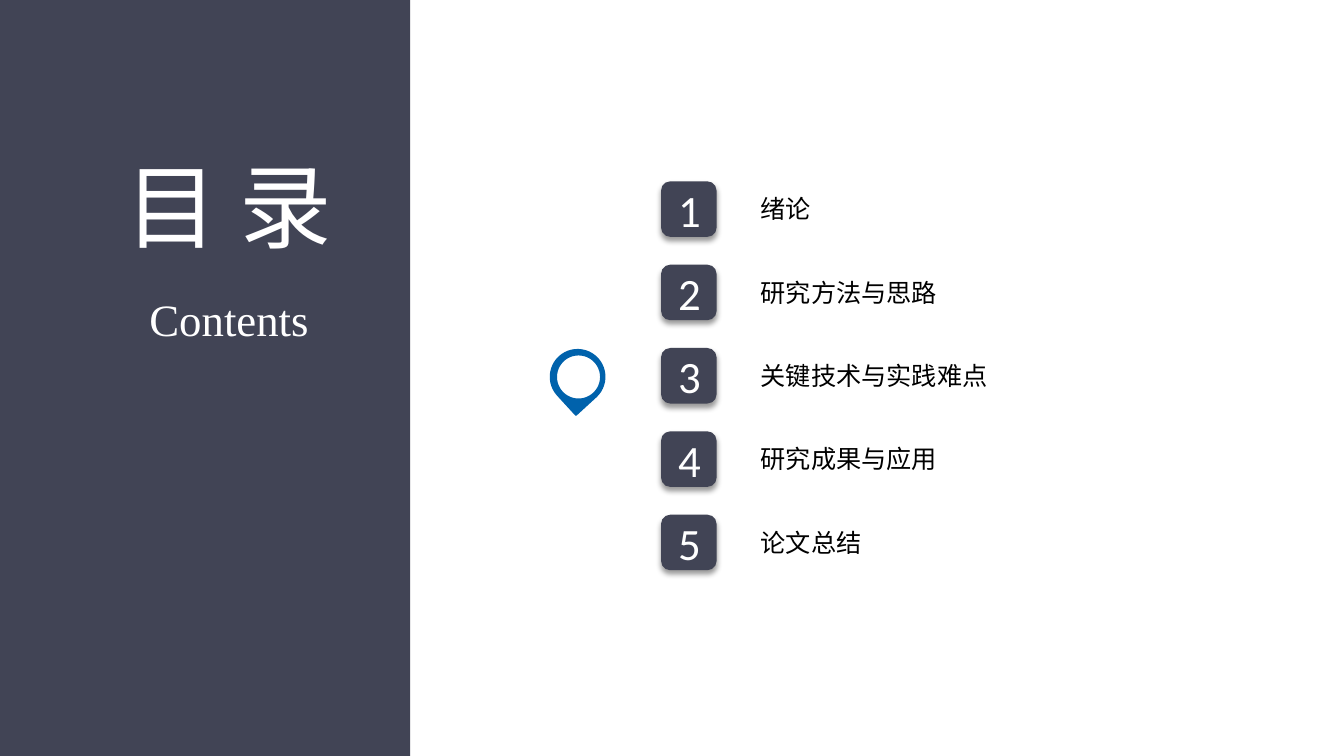
from lxml.etree import SubElement
from pptx import Presentation
from pptx.dml.color import RGBColor
from pptx.enum.shapes import MSO_SHAPE
from pptx.enum.text import MSO_ANCHOR, PP_ALIGN
from pptx.oxml.ns import qn
from pptx.util import Cm, Pt

NAVY, BLUE, WHITE, BLACK = "414455", "0062AC", "FFFFFF", "000000"
CHINESE_FONT = "Noto Sans CJK SC"
CHAPTERS = ["绪论", "研究方法与思路", "关键技术与实践难点", "研究成果与应用", "论文总结"]
FIRST_TOP, ROW_PITCH = 4.57, 2.1


def color(hex_code):
    return RGBColor.from_string(hex_code)


def add_block(slide, preset, left, top, width, height, fill, line=None):
    shape = slide.shapes.add_shape(preset, Cm(left), Cm(top), Cm(width), Cm(height))
    shape.shadow.inherit = False
    shape.fill.solid()
    shape.fill.fore_color.rgb = color(fill)
    if line:
        shape.line.color.rgb = color(line)
        shape.line.width = Pt(1)
    else:
        shape.line.fill.background()
    return shape


def add_soft_shadow(shape):
    effects = shape._element.spPr.find(qn("a:effectLst"))
    shadow = SubElement(effects, qn("a:outerShdw"), blurRad=str(Pt(4)), dist=str(Pt(3)),
                        dir="5400000", algn="t", rotWithShape="0")
    shade = SubElement(shadow, qn("a:srgbClr"), val=BLACK)
    SubElement(shade, qn("a:alpha"), val="40000")


def add_text(slide, text, left, top, width, height, size, font_name, text_color,
             align=PP_ALIGN.CENTER, anchor=MSO_ANCHOR.TOP):
    box = slide.shapes.add_textbox(Cm(left), Cm(top), Cm(width), Cm(height))
    frame = box.text_frame
    frame.word_wrap = False
    frame.vertical_anchor = anchor
    frame.margin_left = frame.margin_right = Cm(0.13)
    frame.margin_top = frame.margin_bottom = Cm(0.13)
    paragraph = frame.paragraphs[0]
    paragraph.text = text
    paragraph.alignment = align
    font = paragraph.font
    font.size = Pt(size)
    font.color.rgb = color(text_color)
    font.name = font_name
    # Chinese characters take their font from the East Asian slot
    SubElement(font._element, qn("a:ea"), typeface=font_name)


def add_chapter(slide, number, title):
    top = FIRST_TOP + (number - 1) * ROW_PITCH
    badge = add_block(slide, MSO_SHAPE.ROUNDED_RECTANGLE, 16.66, top, 1.4, 1.4, NAVY)
    add_soft_shadow(badge)
    add_text(slide, str(number), 16.74, top - 0.1, 1.27, 1.6, 32, "Calibri", WHITE,
             anchor=MSO_ANCHOR.MIDDLE)
    title_width = 0.28 + 0.635 * len(title)
    add_text(slide, title, 19.04, top + 0.18, title_width, 1.14, 18, CHINESE_FONT, BLACK,
             align=PP_ALIGN.LEFT)


def add_pin(slide):
    drop = add_block(slide, MSO_SHAPE.TEAR, 13.87, 8.81, 1.37, 1.37, BLUE, BLUE)
    drop.rotation = 137.5
    add_block(slide, MSO_SHAPE.OVAL, 14.02, 8.94, 1.12, 1.12, WHITE, BLUE)


def main():
    presentation = Presentation()
    presentation.slide_width, presentation.slide_height = Cm(33.87), Cm(19.05)
    slide = presentation.slides.add_slide(presentation.slide_layouts[6])

    # Chapter list
    for number, title in enumerate(CHAPTERS, start=1):
        add_chapter(slide, number, title)

    # Side panel with heading
    add_block(slide, MSO_SHAPE.RECTANGLE, 0, 0, 10.34, 19.05, NAVY)
    add_text(slide, "目 录", 2.97, 3.63, 5.59, 3.5, 66, CHINESE_FONT, WHITE)
    add_text(slide, "Contents", 3.63, 7.21, 4.29, 1.52, 32, "Times New Roman", WHITE)

    # Marker pin
    add_pin(slide)

    presentation.save("out.pptx")


if __name__ == "__main__":
    main()
